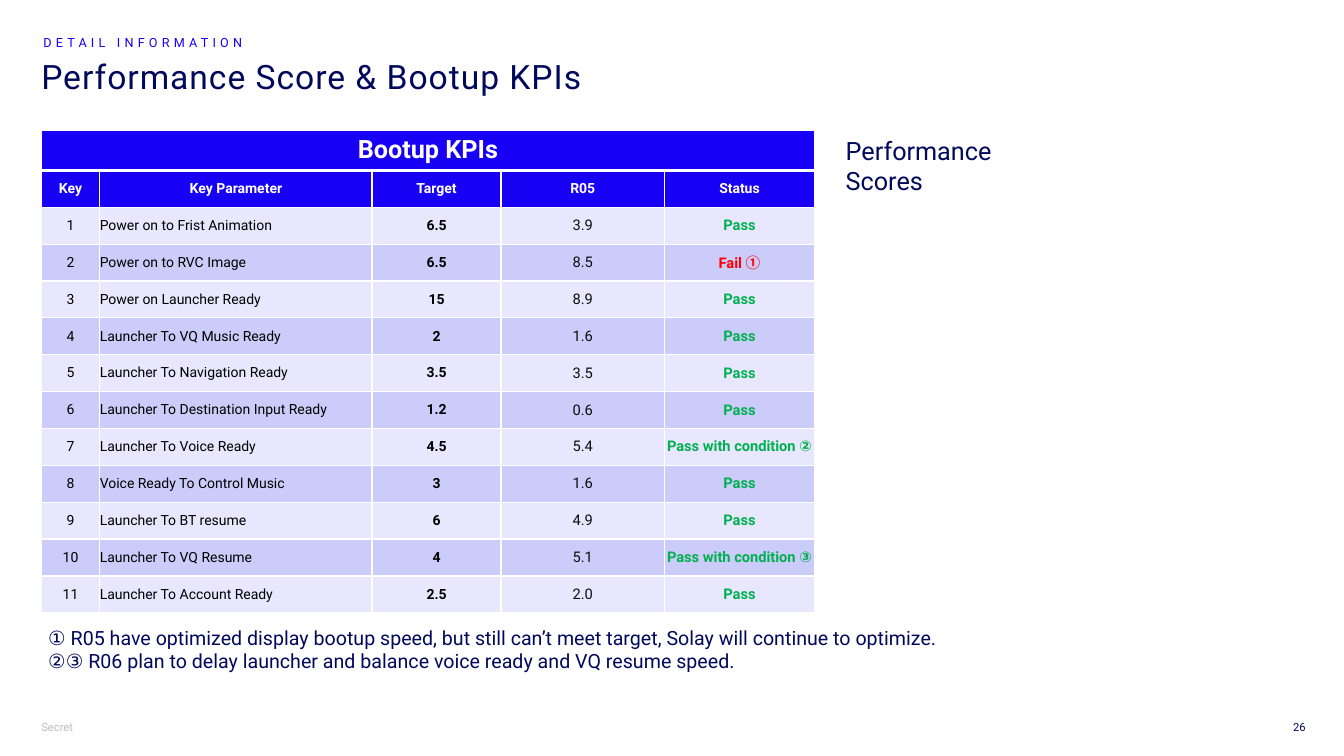
"""Build the slide with the bootup KPI table and its footnotes."""
from lxml import etree
from pptx import Presentation
from pptx.dml.color import RGBColor
from pptx.enum.text import MSO_ANCHOR, MSO_AUTO_SIZE, PP_ALIGN
from pptx.oxml.ns import qn
from pptx.util import Inches, Pt

LEFT, CENTER, RIGHT = PP_ALIGN.LEFT, PP_ALIGN.CENTER, PP_ALIGN.RIGHT
TOP, MIDDLE = MSO_ANCHOR.TOP, MSO_ANCHOR.MIDDLE
NO_FIT = MSO_AUTO_SIZE.NONE
NAVY, BLUE, WHITE, BLACK = "00095B", "1700F3", "FFFFFF", "000000"
GREY, GREEN, RED, DARK = "B9BCBD", "00B050", "FF0000", "0D0D0D"
BANDS = ["E8E7FD", "CCCCFA"]

HEADERS = ["Key", "Key Parameter", "Target", "R05", "Status"]
KPIS = [
    ("Power on to Frist Animation", "6.5", "3.9", "Pass"),
    ("Power on to RVC Image", "6.5", "8.5", "Fail "),
    ("Power on Launcher Ready", "15", "8.9", "Pass"),
    ("Launcher To VQ Music Ready", "2", "1.6", "Pass"),
    ("Launcher To Navigation Ready", "3.5", "3.5", "Pass"),
    ("Launcher To Destination Input Ready", "1.2", "0.6", "Pass"),
    ("Launcher To Voice Ready", "4.5", "5.4", "Pass with condition ②"),
    ("Voice Ready To Control Music", "3", "1.6", "Pass"),
    ("Launcher To BT resume", "6", "4.9", "Pass"),
    ("Launcher To VQ Resume", "4", "5.1", "Pass with condition ③"),
    ("Launcher To Account Ready", "2.5", "2.0", "Pass"),
]
NOTES = ("① R05 have optimized display bootup speed, but still can’t meet target, "
         "Solay will continue to optimize.\n"
         "②③ R06 plan to delay launcher and balance voice ready and VQ resume speed.")


def write(tf, text, size, color, bold=False, align=LEFT):
    tf.text = text
    for p in tf.paragraphs:
        p.alignment = align
        if text == "Fail ":
            p.add_run().text = "①"
        for r in p.runs:
            r.font.name = "Noto Sans CJK SC" if r.text == "①" else "Roboto"
            r.font.size = Pt(size)
            r.font.bold = bold
            r.font.color.rgb = RGBColor.from_string(color)


def set_borders(cell, top, bottom):
    for side, width in (("L", 1), ("R", 1), ("T", top), ("B", bottom)):
        ln = etree.SubElement(cell._tc.get_or_add_tcPr(), qn(f"a:ln{side}"), w=str(Pt(width)))
        fill = etree.SubElement(ln, qn("a:solidFill"))
        etree.SubElement(fill, qn("a:srgbClr"), val=WHITE)


prs = Presentation()
prs.slide_width, prs.slide_height = Inches(13.33), Inches(7.5)
s = prs.slides.add_slide(prs.slide_layouts[2])

headings = [
    (s.shapes.title, (0.41, 0.55, 11.5, 0.75), "Performance Score & Bootup KPIs", 24, NAVY, 70),
    (s.placeholders[1], (0.43, 0.31, 5.95, 0.22), "DETAIL INFORMATION", 9, BLUE, 300),
]
for sp, box, text, size, color, spacing in headings:
    sp.left, sp.top, sp.width, sp.height = [Inches(v) for v in box]
    tf = sp.text_frame
    tf.auto_size, tf.word_wrap, tf.vertical_anchor = NO_FIT, True, TOP
    tf.margin_left, tf.margin_right = 0, Inches(0.1)
    tf.margin_top = tf.margin_bottom = Inches(0.05)
    write(tf, text, size, color)
    p = tf.paragraphs[0]
    p.line_spacing, p.space_before = 0.9, Pt(0)
    rPr = p.runs[0].font._element
    rPr.set("spc", str(spacing))
    rPr.set("cap", "none")

labels = [
    ((0.41, 7.1, 0.43, 0.24), "Secret", 8, GREY, LEFT, 0, 0.1, False),
    ((12.6, 7.1, 0.35, 0.24), "26", 8, NAVY, RIGHT, 0, 0, True),
    ((8.29, 1.29, 2.24, 0.4), "Performance Scores", 18, NAVY, LEFT, 0.1, 0.1, True),
    ((0.38, 6.16, 9.14, 0.57), NOTES, 14, NAVY, LEFT, 0.1, 0.1, False),
]
for box, text, size, color, align, left, right, wrap in labels:
    tf = s.shapes.add_textbox(*[Inches(v) for v in box]).text_frame
    tf.word_wrap = wrap
    tf.margin_left, tf.margin_right = Inches(left), Inches(right)
    write(tf, text, size, color, align=align)

rows = [["Bootup KPIs"], HEADERS]
rows += [[str(n), *kpi] for n, kpi in enumerate(KPIS, 1)]
table = s.shapes.add_table(len(rows), len(HEADERS), Inches(0.41), Inches(1.29),
                           Inches(7.67), Inches(4.79)).table
for column, width in zip(table.columns, (0.58, 2.7, 1.28, 1.62, 1.49)):
    column.width = Inches(width)
for i, row in enumerate(table.rows):
    row.height = Inches(0.4) if i == 0 else Inches(4.39) // (len(rows) - 1)
table.cell(0, 0).merge(table.cell(0, 4))

for i, row in enumerate(rows):
    for j, text in enumerate(row):
        cell = table.cell(i, j)
        set_borders(cell, 3 if i == 1 else 1, 3 if i == 0 else 1)
        cell.fill.solid()
        cell.fill.fore_color.rgb = RGBColor.from_string(BLUE if i < 2 else BANDS[i % 2])
        if i > 0:
            cell.vertical_anchor = MIDDLE
            cell.margin_left = cell.margin_right = cell.margin_top = cell.margin_bottom = 0
        if i < 2:
            size, color, bold, align = 10 if i else 18, WHITE, True, CENTER
        else:
            status = RED if text.startswith("Fail") else GREEN
            size = 10.5 if j > 2 else 10
            color = (BLACK, BLACK, BLACK, DARK, status)[j]
            bold = j in (2, 4)
            align = LEFT if j == 1 else CENTER
        write(cell.text_frame, text, size, color, bold, align)

prs.save("out.pptx")
